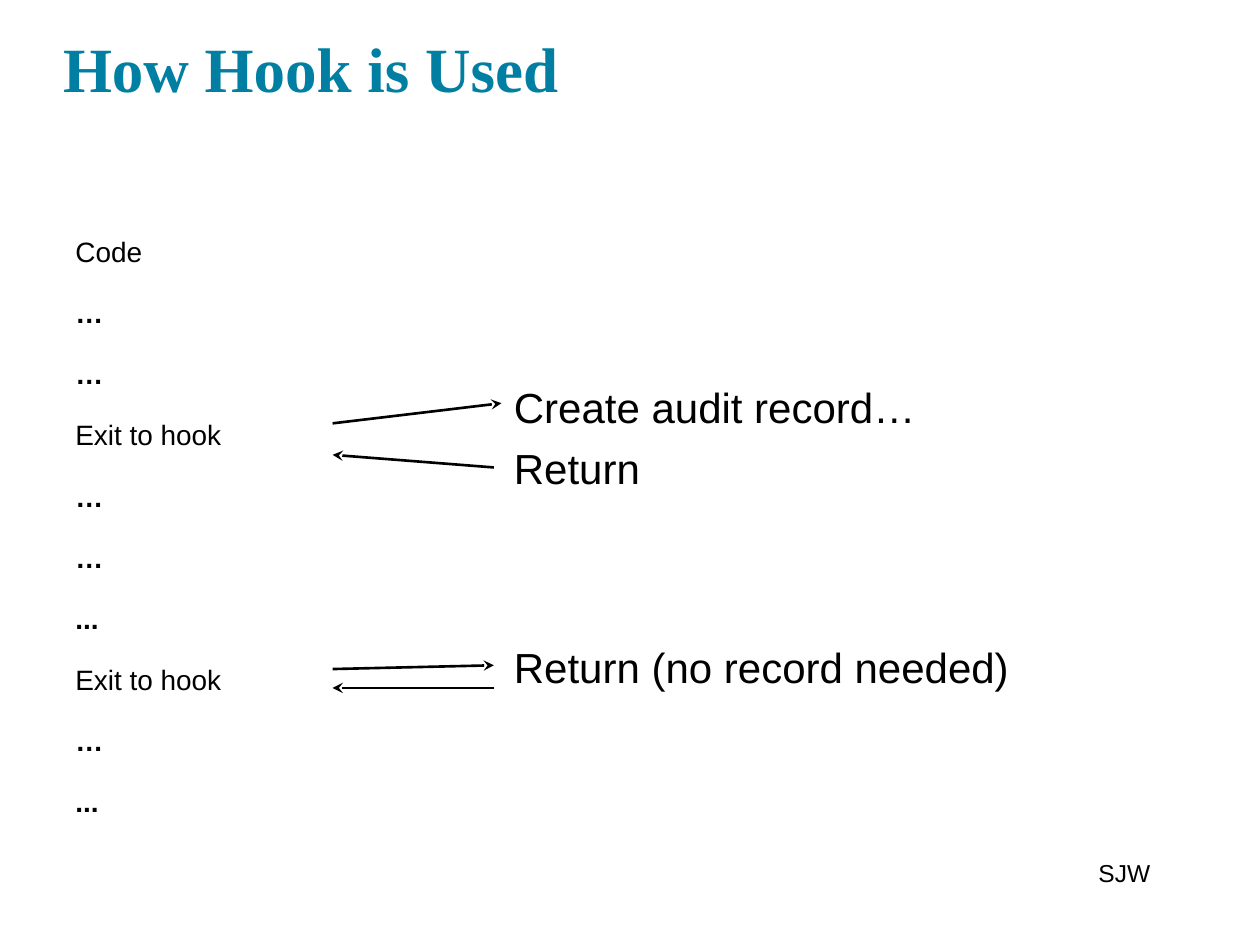
"""Build a slide showing how a hook is used."""
from lxml import etree
from pptx import Presentation
from pptx import util as u
from pptx.dml.color import RGBColor
from pptx.enum import shapes, text
from pptx.oxml.ns import qn

TEAL = RGBColor(0x00, 0x7F, 0xA3)
BLACK = RGBColor(0x00, 0x00, 0x00)
WHITE = RGBColor(0xFF, 0xFF, 0xFF)


class Deck:
    """Style and current slide; lengths are on a grid of 10 columns and 7.5 rows."""

    sans, serif = "Arial", "Times New Roman"
    cols, rows = 10, 7.5

    def __init__(self):
        """Open a presentation with one title-only slide."""
        self.prs = Presentation()
        self.prs.slide_width, self.prs.slide_height = u.Inches(10), u.Inches(7.5)
        self.s = self.prs.slides.add_slide(self.prs.slide_layouts[5])
        fill = self.s.background.fill
        fill.solid()
        fill.fore_color.rgb = WHITE

    def x(self, col):
        """Turn a column into a length."""
        return round(self.prs.slide_width * col / self.cols)

    def y(self, row):
        """Turn a row into a length."""
        return round(self.prs.slide_height * row / self.rows)

    def place(self, sp, col, row, width, height):
        """Move and size a shape on the grid."""
        sp.left, sp.top = self.x(col), self.y(row)
        sp.width, sp.height = self.x(width), self.y(height)

    def run(self, p, words, size, font, color, bold=False):
        """Add one formatted run to a paragraph."""
        r = p.add_run()
        r.text = words
        r.font.size, r.font.name, r.font.bold = u.Pt(size), font, bold
        r.font.color.rgb = color

    def title(self, words, *box):
        """Fill and format the title placeholder."""
        sp = self.s.shapes.title
        self.place(sp, *box)
        tf = sp.text_frame
        tf.margin_left = tf.margin_right = 0
        tf.margin_top = tf.margin_bottom = u.Inches(0.02)
        tf.vertical_anchor = text.MSO_ANCHOR.MIDDLE
        tf.auto_size = text.MSO_AUTO_SIZE.NONE
        p = tf.paragraphs[0]
        p.alignment = text.PP_ALIGN.LEFT
        self.run(p, words, 36, self.serif, TEAL, True)

    def lines(self, items, box, size, before=0, spacing=1.0, inset=0.05, wrap=True):
        """Add a text box with one paragraph per item, dots in bold."""
        sp = self.s.shapes.add_textbox(0, 0, 0, 0)
        self.place(sp, *box)
        tf = sp.text_frame
        tf.word_wrap = wrap
        tf.margin_left = tf.margin_right = u.Inches(0.1)
        tf.margin_top = tf.margin_bottom = u.Inches(inset)
        for i, words in enumerate(items):
            p = tf.add_paragraph() if i else tf.paragraphs[0]
            p.space_before, p.line_spacing = u.Pt(before), spacing
            self.run(p, words, size, self.sans, BLACK, words in ("…", "..."))

    def arrow(self, col1, row1, col2, row2):
        """Draw a line with a stealth head at its end."""
        c = self.s.shapes.add_connector(
            shapes.MSO_CONNECTOR.STRAIGHT,
            self.x(col1), self.y(row1), self.x(col2), self.y(row2))
        c.line.color.rgb, c.line.width = BLACK, u.Pt(1.5)
        etree.SubElement(c.line._get_or_add_ln(), qn("a:tailEnd"), type="stealth")
        etree.SubElement(c._element.spPr, qn("a:effectLst"))


def main():
    """Compose the slide and save it."""
    d = Deck()
    d.title("How Hook is Used", 0.5, 0.21, 9.05, 0.65)
    code = ["Code", "…", "…", "Exit to hook", "…", "…", "...", "Exit to hook", "…", "..."]
    d.lines(code, (0.5, 1.75, 2.85, 4.95), 16, 15, 1.04, inset=0.1)
    d.lines(["Create audit record…", "Return"], (3.98, 2.96, 4.39, 1.13), 24, 5, 1.04)
    d.lines(["Return (no record needed)"], (3.98, 5.03, 4.65, 0.57), 24, 5, 1.04)
    near, far = 2.64, 3.92
    for ends in ((near, 3.36, 3.98, 3.2), (far, 3.71, near, 3.61),
                 (near, 5.31, far, 5.28), (far, 5.46, near, 5.46)):
        d.arrow(*ends)
    d.lines(["SJW"], (8.62, 6.76, 0.73, 0.4), 14, wrap=False)
    d.prs.save("out.pptx")


if __name__ == "__main__":
    main()
